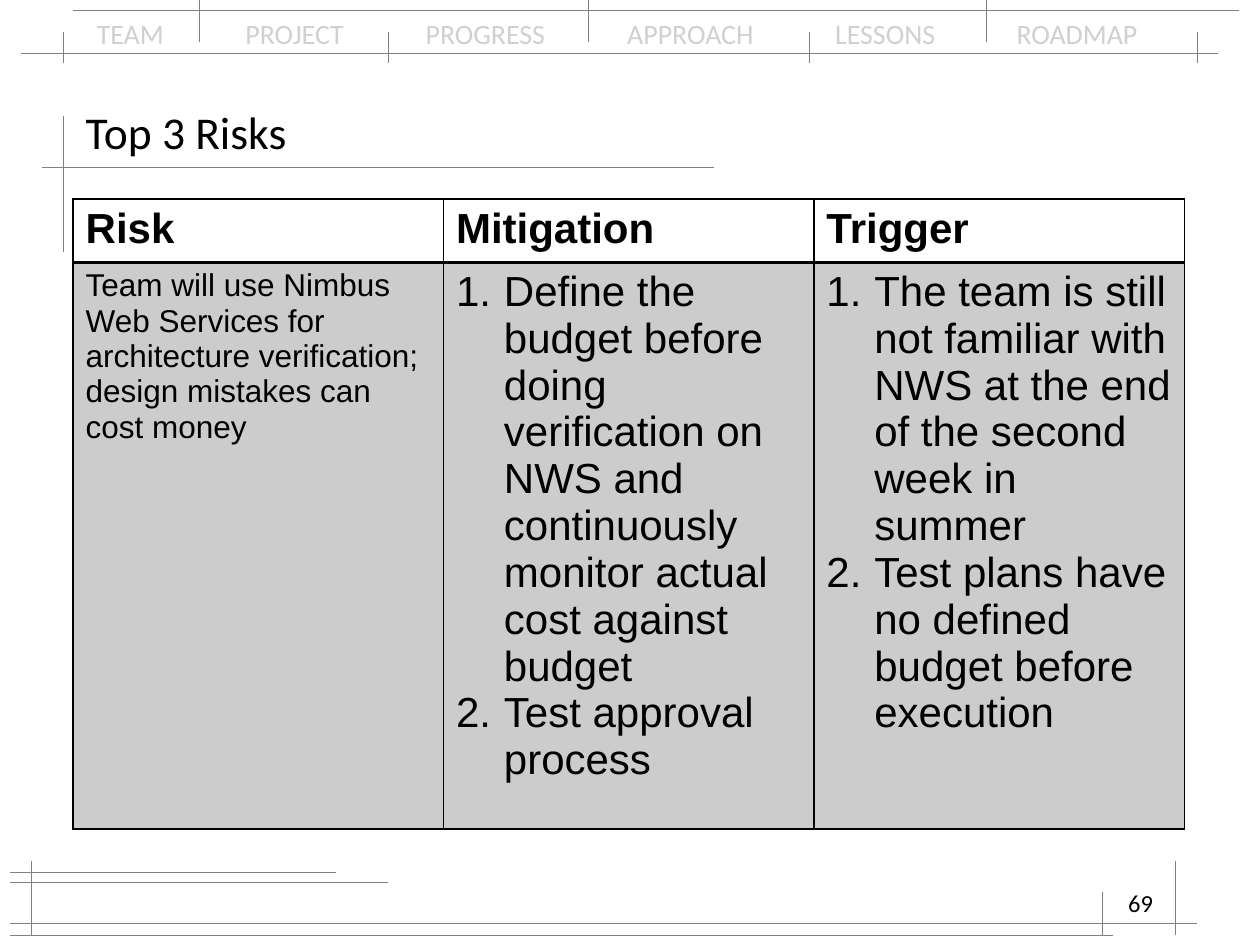
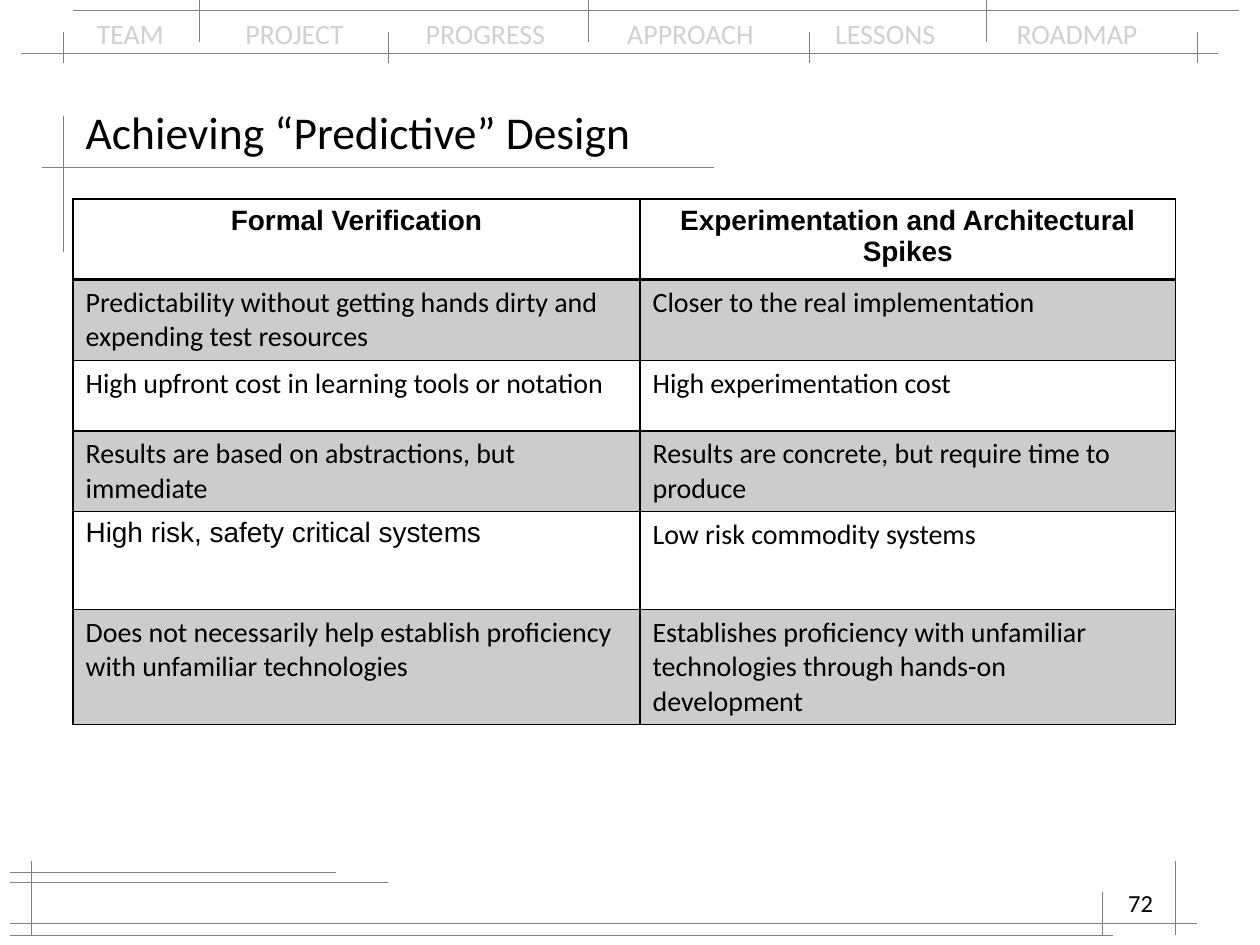
from lxml import etree
from pptx import Presentation
from pptx.dml.color import RGBColor
from pptx.enum import shapes, text
from pptx.oxml import ns
from pptx.util import Inches, Pt

BLACK = RGBColor(0x00, 0x00, 0x00)
GREY_BAND = RGBColor(0xCC, 0xCC, 0xCC)
NAV_GREY = RGBColor(0xD0, 0xD0, 0xD0)
RULE_GREY = RGBColor(0x80, 0x80, 0x80)
HEADING_FONT, TABLE_FONT = "Calibri", "Arial"

NAV_LABELS = ["TEAM", "PROJECT", "PROGRESS", "APPROACH", "LESSONS", "ROADMAP"]
NAV_TABS = [1.18, 2.61, 4.21, 5.86, 7.3]

# (y, left, right) and (x, top, bottom)
HORIZONTAL_RULES = [
    (0.42, 0.17, 9.67), (0.08, 0.58, 9.83), (1.33, 0.33, 5.67),
    (6.92, 0.08, 2.67), (7, 0.08, 3.08), (7.33, 0.08, 9.5), (7.42, 0.08, 8.83),
]
VERTICAL_RULES = [
    (0.5, 0.92, 2), (0.25, 6.83, 7.42), (9.33, 6.83, 7.42), (8.75, 7.08, 7.42),
    *[(x, 0.25, 0.5) for x in (0.5, 3.08, 6.42, 9.5)],
    *[(x, 0, 0.33) for x in (1.58, 4.67, 7.83)],
]

RISKS = [
    ["Risk", "Mitigation", "Trigger"],
    ["Team will use Nimbus Web Services for architecture verification; "
     "design mistakes can cost money",
     "Define the budget before doing verification on NWS and continuously "
     "monitor actual cost against budget\nTest approval process",
     "The team is still not familiar with NWS at the end of the second week "
     "in summer\nTest plans have no defined budget before execution"],
]
DESIGN_CHOICES = [
    ["Formal Verification", "Experimentation and Architectural Spikes"],
    ["Predictability without getting hands dirty and expending test resources",
     "Closer to the real implementation"],
    ["High upfront cost in learning tools or notation",
     "High experimentation cost"],
    ["Results are based on abstractions, but immediate",
     "Results are concrete, but require time to produce"],
    ["High risk, safety critical systems", "Low risk commodity systems"],
    ["Does not necessarily help establish proficiency with unfamiliar technologies",
     "Establishes proficiency with unfamiliar technologies through hands-on development"],
]


def style_font(paragraph, size, name, color=BLACK, bold=False):
    for run in paragraph.runs:
        run.font.size = Pt(size)
        run.font.name = name
        run.font.color.rgb = color
        run.font.bold = bold


def add_rule(slide, x1, y1, x2, y2):
    rule = slide.shapes.add_connector(
        shapes.MSO_CONNECTOR.STRAIGHT, *map(Inches, (x1, y1, x2, y2)))
    rule.line.color.rgb = RULE_GREY
    rule.line.width = Pt(0.3)
    etree.SubElement(rule._element.spPr, ns.qn("a:effectLst"))


def add_navigation(slide, left, top, width, height):
    nav = slide.shapes.add_textbox(*map(Inches, (left, top, width, height)))
    nav.text_frame.word_wrap = True
    labels = nav.text_frame.paragraphs[0]
    labels.text = "\t".join(NAV_LABELS)
    tabs = etree.SubElement(labels._p.get_or_add_pPr(), ns.qn("a:tabLst"))
    for position in NAV_TABS:
        etree.SubElement(tabs, ns.qn("a:tab"), pos=str(Inches(position)), algn="l")
    style_font(labels, 16, HEADING_FONT, NAV_GREY)


def add_page_number(slide, number, left, top, width, height):
    box = slide.shapes.add_textbox(*map(Inches, (left, top, width, height)))
    box.text_frame.word_wrap = True
    page = box.text_frame.paragraphs[0]
    page.text = str(number)
    page.alignment = text.PP_ALIGN.RIGHT
    style_font(page, 14, HEADING_FONT)


def place_title(title, wording, left, top, width, height):
    title.left, title.top, title.width, title.height = map(
        Inches, (left, top, width, height))
    title.text_frame.text = wording
    title.text_frame.vertical_anchor = text.MSO_ANCHOR.MIDDLE
    heading = title.text_frame.paragraphs[0]
    heading.alignment = text.PP_ALIGN.LEFT
    style_font(heading, 26, HEADING_FONT)


def add_framed_slide(prs, wording, number):
    """Add a slide with navigation, sketch lines, title and page number."""
    slide = prs.slides.add_slide(prs.slide_layouts[5])
    add_navigation(slide, 0.67, 0.08, 8.67, 0.37)
    for y, left, right in HORIZONTAL_RULES:
        add_rule(slide, left, y, right, y)
    for x, top, bottom in VERTICAL_RULES:
        add_rule(slide, x, top, x, bottom)
    place_title(slide.shapes.title, wording, 0.58, 0.75, 8.83, 0.58)
    add_page_number(slide, number, 7.17, 7, 2.08, 0.5)
    return slide


def set_borders(cell, row):
    """Draw thin black borders, with a thicker one under the header row."""
    widths = {"lnL": 1, "lnR": 1, "lnT": 2 if row == 1 else 1,
              "lnB": 2 if row == 0 else 1}
    for side, width in widths.items():
        line = etree.SubElement(cell._tc.get_or_add_tcPr(), ns.qn(f"a:{side}"),
                                w=str(Pt(width)))
        fill = etree.SubElement(line, ns.qn("a:solidFill"))
        etree.SubElement(fill, ns.qn("a:srgbClr"), val=str(BLACK))


def number_paragraph(paragraph):
    properties = paragraph._p.get_or_add_pPr()
    properties.set("marL", str(Inches(0.38)))
    properties.set("indent", str(-Inches(0.38)))
    etree.SubElement(properties, ns.qn("a:buFont"), typeface="+mj-lt")
    etree.SubElement(properties, ns.qn("a:buAutoNum"), type="arabicPeriod")


def add_banded_table(slide, content, left, top, widths, heights, size, body_font):
    frame = slide.shapes.add_table(
        len(heights), len(widths), Inches(left), Inches(top),
        Inches(sum(widths)), Inches(sum(heights)))
    table = frame.table
    table.first_row = table.horz_banding = False
    for column, width in zip(table.columns, widths):
        column.width = Inches(width)
    for row, (height, wordings) in enumerate(zip(heights, content)):
        table.rows[row].height = Inches(height)
        for column, wording in enumerate(wordings):
            cell = table.cell(row, column)
            set_borders(cell, row)
            if row % 2:
                cell.fill.solid()
                cell.fill.fore_color.rgb = GREY_BAND
            else:
                cell.fill.background()
            cell.text_frame.text = wording
            for paragraph in cell.text_frame.paragraphs:
                if "\n" in wording:
                    number_paragraph(paragraph)
                style_font(paragraph, size, body_font if row else TABLE_FONT,
                           bold=row == 0)
    return table


def build_risks(prs):
    slide = add_framed_slide(prs, "Top 3 Risks", 69)
    table = add_banded_table(slide, RISKS, 0.58, 1.58, [2.94] * 3,
                             [0.47, 4.19], 24, TABLE_FONT)
    style_font(table.cell(1, 0).text_frame.paragraphs[0], 18, TABLE_FONT)


def build_design_choices(prs):
    slide = add_framed_slide(prs, "Achieving “Predictive” Design", 72)
    table = add_banded_table(slide, DESIGN_CHOICES, 0.58, 1.58, [4.5, 4.25],
                             [0.64, 0.64, 0.56, 0.64, 0.78, 0.91], 16, HEADING_FONT)
    for header in table.rows[0].cells:
        header.text_frame.paragraphs[0].alignment = text.PP_ALIGN.CENTER
    style_font(table.cell(4, 0).text_frame.paragraphs[0], 16, TABLE_FONT)


def main():
    prs = Presentation()
    prs.slide_width, prs.slide_height = Inches(10), Inches(7.5)
    build_risks(prs)
    build_design_choices(prs)
    prs.save("out.pptx")


if __name__ == "__main__":
    main()
